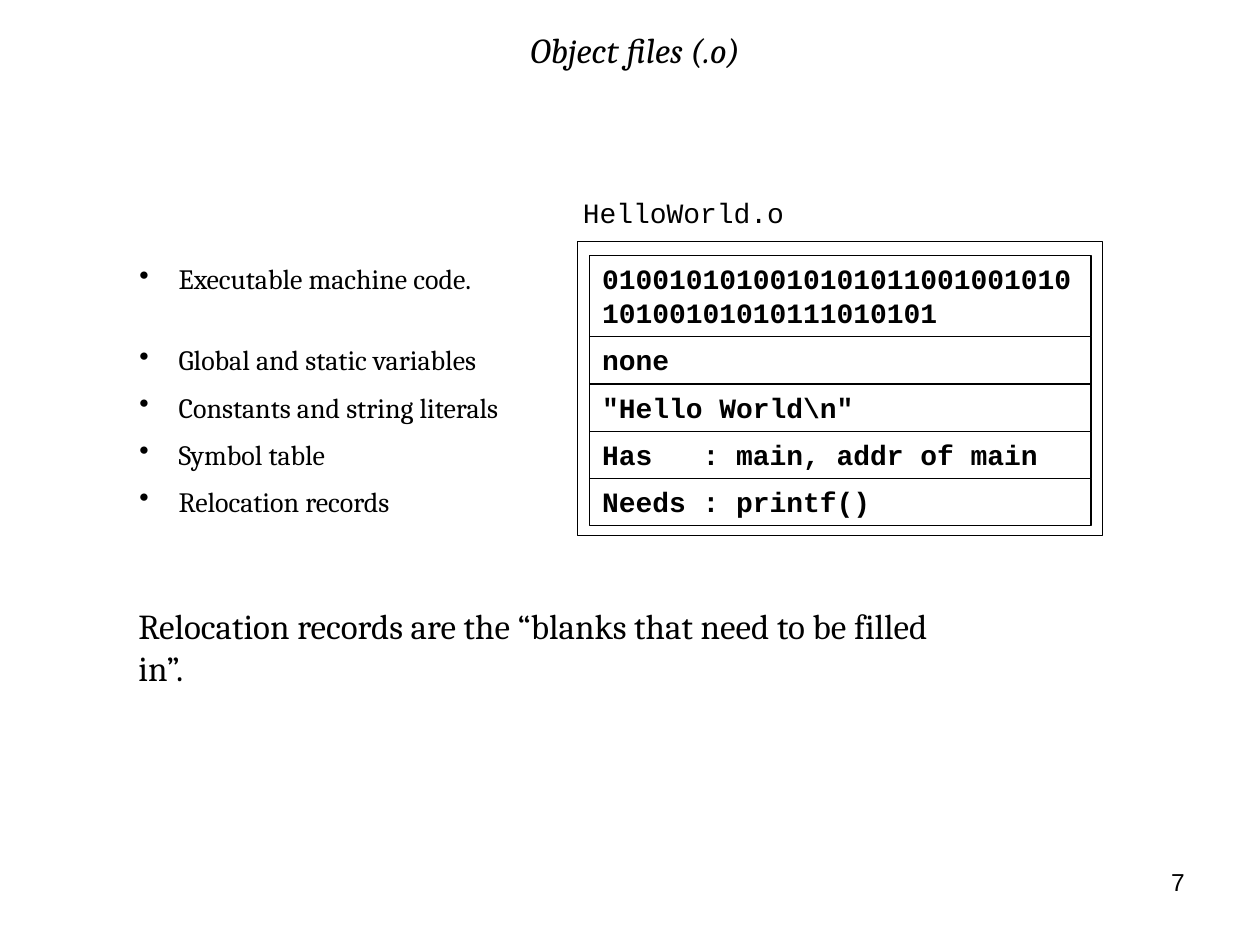
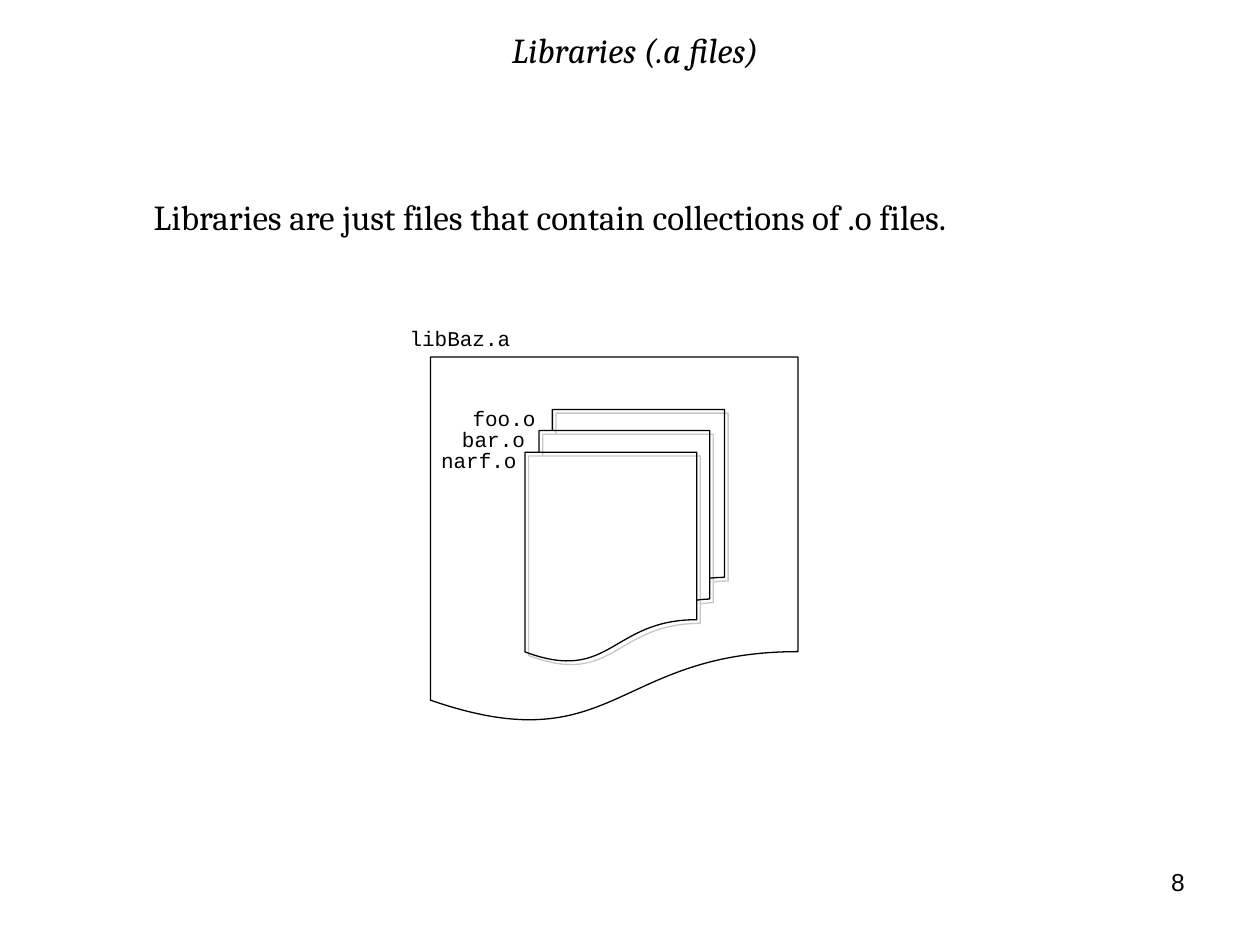
import pptx
import pptx.util
import pptx.dml.color
import pptx.enum.shapes
import pptx.enum.text
import pptx.oxml
import pptx.oxml.ns

Pt = pptx.util.Pt
SHAPE = pptx.enum.shapes.MSO_SHAPE
ALIGN = pptx.enum.text.PP_ALIGN
ANCHOR = pptx.enum.text.MSO_ANCHOR
BLACK = pptx.dml.color.RGBColor(0, 0, 0)
GREY = pptx.dml.color.RGBColor(0x80, 0x80, 0x80)
SERIF, SANS, MONO = "Cambria", "Arial", "Courier New"
INSET = (7.2, 3.6)

PARTS = [
    ("Executable machine code.", "010010101001010101100100101010100101010111010101", 46.2),
    ("Global and static variables", "none", 27),
    ("Constants and string literals", '"Hello World\\n"', 27),
    ("Symbol table", "Has   : main, addr of main", 27),
    ("Relocation records", "Needs : printf()", 27),
]
NOTE = "Relocation records are the “blanks that need to be filled in”."
INTRO = "Libraries are just files that contain collections of .o files."
LABELS = [
    ("foo.o", 270, 231.8),
    ("bar.o", 264, 243.6),
    ("narf.o", 252, 255.6),
    ("libBaz.a", 234, 186),
]


def write(shape, text, size, face, inset=INSET, align=ALIGN.LEFT,
          anchor=ANCHOR.TOP, bold=False, slant=False, dot=False):
    frame = shape.text_frame
    frame.word_wrap = True
    frame.vertical_anchor = anchor
    frame.margin_left = frame.margin_right = Pt(inset[0])
    frame.margin_top = frame.margin_bottom = Pt(inset[1])
    para = frame.paragraphs[0]
    para.text = text
    para.alignment = align
    if dot:
        props = para._p.get_or_add_pPr()
        props.set("marL", str(Pt(22.5)))
        props.set("indent", str(-Pt(22.5)))
        mark = pptx.oxml.parse_xml(
            f'<a:buChar {pptx.oxml.ns.nsdecls("a")} char="•"/>')
        props.append(mark)
    font = para.font
    font.name, font.size = face, Pt(size)
    font.bold, font.italic = bold, slant
    font.color.rgb = BLACK


def label(slide, box, text, size, face, **style):
    shape = slide.shapes.add_textbox(*map(Pt, box))
    write(shape, text, size, face, **style)


def outline(slide, kind, box):
    shape = slide.shapes.add_shape(kind, *map(Pt, box))
    shape.shadow.inherit = False
    shape.fill.background()
    shape.line.color.rgb = BLACK
    shape.line.width = Pt(0.75)
    return shape


def shade(shape):
    shape.shadow.inherit = False
    effects = shape._element.spPr.find(pptx.oxml.ns.qn("a:effectLst"))
    effects.append(pptx.oxml.parse_xml(
        f'<a:outerShdw {pptx.oxml.ns.nsdecls("a")} blurRad="0" '
        f'dist="{Pt(3)}" dir="{45 * 60000}" algn="ctr" rotWithShape="0">'
        f'<a:srgbClr val="{GREY}"><a:alpha val="43000"/></a:srgbClr>'
        '</a:outerShdw>'))


def page(deck, title, number):
    slide = deck.slides.add_slide(deck.slide_layouts[6])
    label(slide, (72, 12, 582, 32.4), title, 20, SERIF, inset=(0, 0),
          align=ALIGN.CENTER, anchor=ANCHOR.MIDDLE, slant=True)
    label(slide, (516, 492, 168, 37.4), str(number), 14, SANS, align=ALIGN.RIGHT)
    return slide


def object_page(deck):
    slide = page(deck, "Object files (.o)", 7)
    label(slide, (326, 108, 139, 26.6), "HelloWorld.o", 16, MONO)
    label(slide, (72, 342, 474, 55.4), NOTE, 20, SERIF)
    top = 146.2
    for name, code, height in PARTS:
        label(slide, (72.5, top, 250, 26.6), name, 16, SERIF, dot=True)
        cell = outline(slide, SHAPE.RECTANGLE, (337, top, 286.5, height))
        write(cell, code, 16, MONO, bold=True)
        top += height
    outline(slide, SHAPE.RECTANGLE, (330, 138, 300, 168))


def library_page(deck):
    slide = page(deck, "Libraries (.a files)", 8)
    label(slide, (80.8, 108, 532, 31.7), INTRO, 20, SERIF)
    outline(slide, SHAPE.FLOWCHART_DOCUMENT, (246, 204, 210, 210))
    shade(outline(slide, SHAPE.FLOWCHART_MULTIDOCUMENT, (300, 234, 114, 144)))
    for name, left, top in LABELS:
        label(slide, (left, top, 60, 14.4), name, 12, MONO, inset=(0, 0))


def main():
    deck = pptx.Presentation()
    deck.slide_width, deck.slide_height = Pt(720), Pt(540)
    object_page(deck)
    library_page(deck)
    deck.save("out.pptx")


if __name__ == "__main__":
    main()
